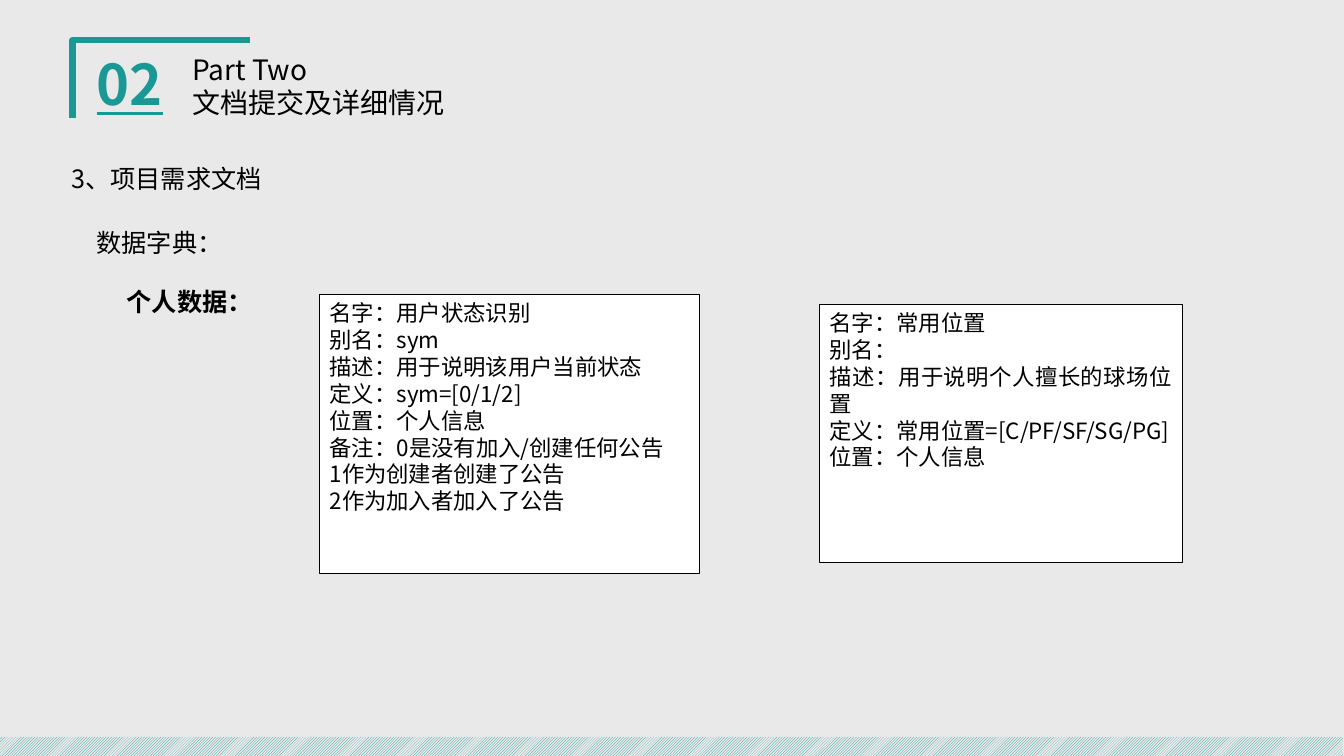
from pptx import Presentation
from pptx.dml.color import RGBColor
from pptx.enum.dml import MSO_PATTERN
from pptx.enum.shapes import MSO_SHAPE
from pptx.enum.text import MSO_ANCHOR, MSO_AUTO_SIZE, PP_ALIGN
from pptx.oxml.ns import qn
from pptx.util import Pt
from lxml.etree import SubElement

SLIDE_W, SLIDE_H = 960, 540
TEAL, GREY, BLACK, WHITE = "1A9895", "E9E9E9", "000000", "FFFFFF"
CJK = "Noto Sans CJK SC"

CORNER = [(51.8, 84.2), (51.8, 28.8), (178.6, 28.8)]
STRIPE = (-2, 526.3, 961.2, 15.8)

# lines, (left, top, width, height), size
LABELS = [
    (["Part Two", "文档提交及详细情况"], (130.3, 33.8, 369.4, 55.4), 20),
    (["3、项目需求文档"], (43.9, 113, 368.6, 28.8), 18),
    (["数据字典："], (61.9, 159.1, 308.9, 28.8), 18),
]
NUMBER = (["02"], (61.9, 31.7, 68.4, 55.4), 40)
SECTION = (["个人数据："], (53.3, 200.9, 136.8, 28.8), 18)
SECTION_INDENT = 30.2

CARDS = [
    ([
        "名字：用户状态识别",
        "别名：sym",
        "描述：用于说明该用户当前状态",
        "定义：sym=[0/1/2]",
        "位置：个人信息",
        "备注：0是没有加入/创建任何公告",
        "1作为创建者创建了公告",
        "2作为加入者加入了公告",
    ], (228.4, 210.3, 270.9, 199.6)),
    ([
        "名字：常用位置",
        "别名：",
        "描述：用于说明个人擅长的球场位置",
        "定义：常用位置=[C/PF/SF/SG/PG]",
        "位置：个人信息",
    ], (585.4, 217.4, 259.2, 184.3)),
]


def rgb(color):
    return RGBColor.from_string(color)


def write(tf, lines, size, color=BLACK, font=CJK, bold=False, underline=False,
          align=PP_ALIGN.LEFT, indent=0):
    for i, line in enumerate(lines):
        p = tf.paragraphs[0] if i == 0 else tf.add_paragraph()
        p.text = line
        p.alignment = align
        if indent:
            p._p.get_or_add_pPr().set("indent", str(Pt(indent)))
        f = p.font
        f.size, f.bold, f.underline = Pt(size), bold, underline
        f.color.rgb = rgb(color)
        f.name = font
        SubElement(f._element, qn("a:ea")).set("typeface", font)


def add_label(s, lines, box, size, wrap=True, **style):
    tf = s.shapes.add_textbox(*map(Pt, box)).text_frame
    tf.word_wrap = wrap
    tf.auto_size = MSO_AUTO_SIZE.SHAPE_TO_FIT_TEXT
    write(tf, lines, size, **style)


def add_rect(s, box):
    sp = s.shapes.add_shape(MSO_SHAPE.RECTANGLE, *map(Pt, box))
    sp.shadow.inherit = False
    return sp


def add_card(s, lines, box):
    sp = add_rect(s, box)
    sp.fill.solid()
    sp.fill.fore_color.rgb = rgb(WHITE)
    sp.line.color.rgb = rgb(BLACK)
    sp.line.width = Pt(0.5)
    tf = sp.text_frame
    tf.word_wrap = True
    tf.vertical_anchor = MSO_ANCHOR.TOP
    write(tf, lines, 16, align=PP_ALIGN.JUSTIFY)


def add_frame(s):
    """Corner bracket at the title and hatched stripe at the foot."""
    start, *rest = [(Pt(x), Pt(y)) for x, y in CORNER]
    builder = s.shapes.build_freeform(*start)
    builder.add_line_segments(rest, close=False)
    corner = builder.convert_to_shape()
    corner.shadow.inherit = False
    corner.fill.background()
    corner.line.color.rgb = rgb(TEAL)
    corner.line.width = Pt(4.5)

    stripe = add_rect(s, STRIPE)
    stripe.line.fill.background()
    stripe.fill.patterned()
    stripe.fill.pattern = MSO_PATTERN.LIGHT_UPWARD_DIAGONAL
    stripe.fill.fore_color.rgb = rgb(TEAL)
    stripe.fill.back_color.rgb = rgb(GREY)


def main():
    prs = Presentation()
    prs.slide_width, prs.slide_height = Pt(SLIDE_W), Pt(SLIDE_H)
    s = prs.slides.add_slide(prs.slide_layouts[6])
    s.background.fill.solid()
    s.background.fill.fore_color.rgb = rgb(GREY)

    add_frame(s)
    add_label(s, *NUMBER, color=TEAL, bold=True, underline=True)
    for label in LABELS:
        add_label(s, *label)
    add_label(s, *SECTION, wrap=False, font="Calibri", bold=True,
              indent=SECTION_INDENT)
    for card in CARDS:
        add_card(s, *card)
    prs.save("out.pptx")


if __name__ == "__main__":
    main()
